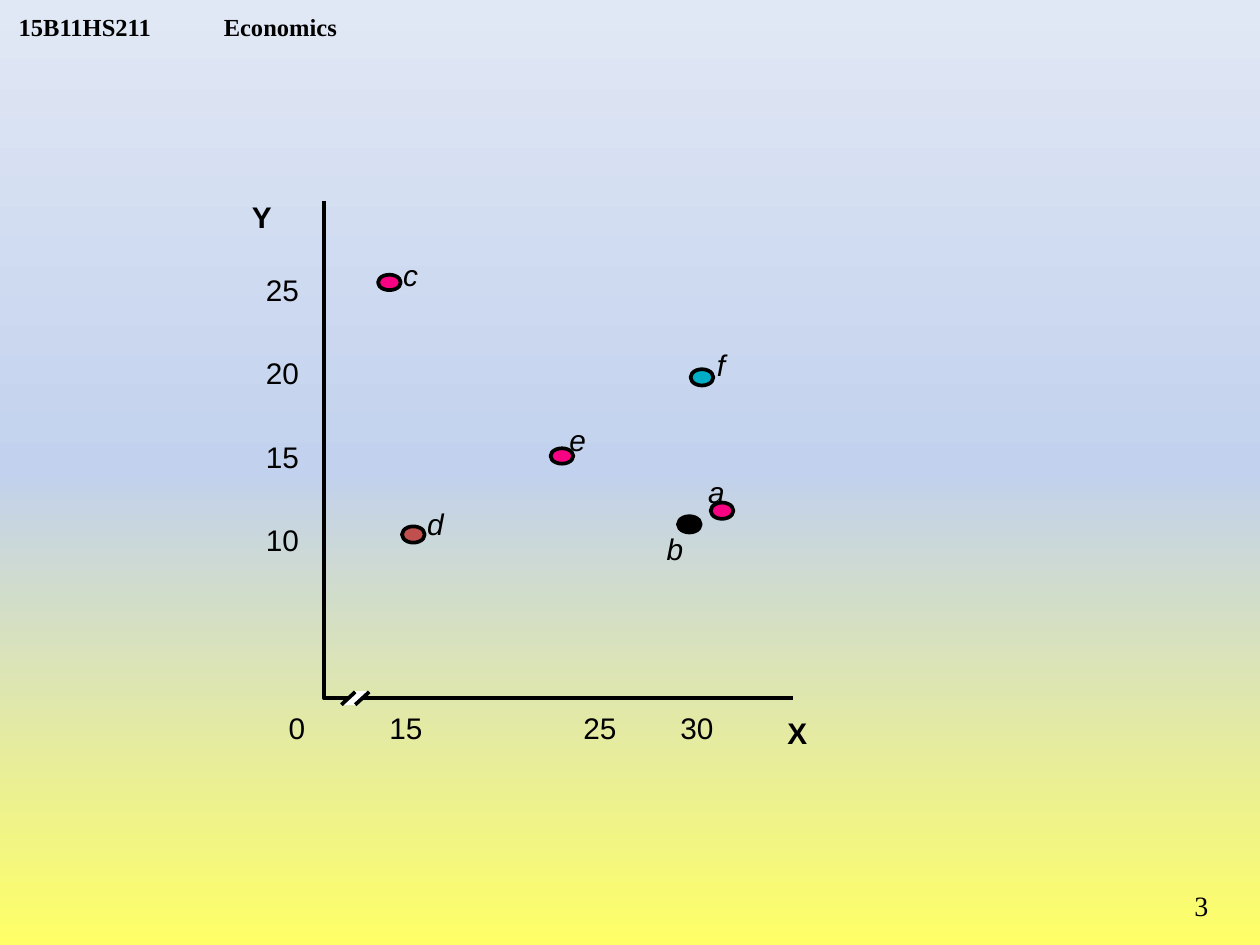
"""Build an economics slide with a scatter diagram of labelled points a to f."""
from copy import deepcopy
from dataclasses import dataclass

from lxml import etree
from pptx import Presentation
from pptx.dml.color import RGBColor
from pptx.enum.shapes import MSO_CONNECTOR, MSO_SHAPE
from pptx.enum.text import MSO_ANCHOR, MSO_AUTO_SIZE, PP_ALIGN
from pptx.oxml.ns import qn
from pptx.slide import Slide
from pptx.text.text import TextFrame
from pptx.util import Pt

STRAIGHT = MSO_CONNECTOR.STRAIGHT
OVAL = MSO_SHAPE.OVAL
BOTTOM = MSO_ANCHOR.BOTTOM
FIT_SHAPE = MSO_AUTO_SIZE.SHAPE_TO_FIT_TEXT
RIGHT = PP_ALIGN.RIGHT


@dataclass(frozen=True)
class Theme:
    ink: RGBColor = RGBColor(0, 0, 0)
    white: RGBColor = RGBColor(255, 255, 255)
    pink: RGBColor = RGBColor.from_string("F60282")
    teal: RGBColor = RGBColor.from_string("01AEC5")
    red: RGBColor = RGBColor.from_string("C0504D")
    background: tuple = ((0, "FFFF66"), (0.5, "C2D1ED"), (1, "E1E8F5"))
    diagram_font: str = "Arial"
    page_font: str = "Times New Roman"
    diagram_size: int = 17
    header_size: int = 14
    number_size: int = 16
    line_width: float = 2.13


@dataclass(frozen=True)
class Label:
    text: str
    left: float
    top: float
    width: float = 12
    height: float = 18
    bold: bool = False
    italic: bool = False


@dataclass(frozen=True)
class Point:
    left: float
    top: float
    color: RGBColor
    height: float = 9.3


THEME = Theme()
ORIGIN_X, ORIGIN_Y = 185, 398.9
AXIS_RIGHT, AXIS_TOP = 453.4, 115.2
BREAK_TOP, BREAK_BOTTOM = 395.4, 402.7
TICK_WIDTH = 23.8

BACK_POINTS = (
    Point(229.7, 300.8, THEME.red),
    Point(387.4, 295, THEME.ink),
    Point(406.1, 287.2, THEME.pink),
    Point(394.6, 211, THEME.teal),
)
FRONT_POINTS = (
    Point(216, 157, THEME.pink, 8.8),
    Point(314.6, 256.2, THEME.pink, 8.8),
)
AXIS_NAMES = (
    Label("Y", 144, 113.8, 11.5, 20.9, bold=True),
    Label("X", 450, 408.2, 11.5, 20.9, bold=True),
)
X_TICKS = (
    Label("0", 164.9, 405.4),
    Label("15", 222.5, 405.4, TICK_WIDTH),
    Label("25", 333.4, 405.4, TICK_WIDTH),
    Label("30", 388.8, 405.4, TICK_WIDTH),
)
Y_TICKS = tuple(
    Label(str(25 - 5 * row), 151.9, 155.5 + 47.5 * row, TICK_WIDTH) for row in range(4)
)
POINT_NAMES = (
    Label("d", 244.1, 288.7, italic=True),
    Label("a", 404.6, 270.7, italic=True),
    Label("b", 380.9, 303.1, italic=True),
    Label("e", 325.4, 241.2, italic=True),
    Label("c", 230.4, 146.9, 10.8, italic=True),
    Label("f", 409.7, 198, 5.8, italic=True),
)


def paint_background(slide: Slide) -> None:
    fill = slide.background.fill
    fill.gradient()
    fill.gradient_angle = 90
    stop_list = slide.element.find(".//" + qn("a:gsLst"))
    stop_list.insert(1, deepcopy(stop_list[0]))
    for stop, (position, color) in zip(fill.gradient_stops, THEME.background):
        stop.position = position
        stop.color.rgb = RGBColor.from_string(color)


def style_line(line) -> None:
    line.color.rgb = THEME.ink
    line.width = Pt(THEME.line_width)


def add_path(slide: Slide, vertices: tuple, close: bool):
    builder = slide.shapes.build_freeform(*vertices[0], scale=Pt(1))
    builder.add_line_segments(vertices[1:], close=close)
    shape = builder.convert_to_shape()
    shape.shadow.inherit = False
    return shape


def add_axes(slide: Slide) -> None:
    vertices = ((AXIS_RIGHT, ORIGIN_Y), (ORIGIN_X, ORIGIN_Y), (ORIGIN_X, AXIS_TOP))
    axes = add_path(slide, vertices, close=False)
    axes.fill.background()
    style_line(axes.line)


def add_axis_break(slide: Slide) -> None:
    strokes = ((203, 195.1), (211, 203))
    (left_top, left_bottom), (right_top, right_bottom) = strokes
    gap = add_path(
        slide,
        (
            (left_bottom, BREAK_BOTTOM),
            (right_bottom, BREAK_BOTTOM),
            (right_top, BREAK_TOP),
            (left_top, BREAK_TOP),
        ),
        close=True,
    )
    gap.fill.solid()
    gap.fill.fore_color.rgb = THEME.white
    gap.line.fill.background()
    for top, bottom in strokes:
        stroke = slide.shapes.add_connector(
            STRAIGHT, Pt(top), Pt(BREAK_TOP), Pt(bottom), Pt(BREAK_BOTTOM)
        )
        style_line(stroke.line)
        etree.SubElement(stroke.element.spPr, qn("a:effectLst"))


def add_point(slide: Slide, point: Point) -> None:
    shape = slide.shapes.add_shape(
        OVAL, Pt(point.left), Pt(point.top), Pt(13), Pt(point.height)
    )
    shape.shadow.inherit = False
    shape.fill.solid()
    shape.fill.fore_color.rgb = point.color
    style_line(shape.line)


def add_text(slide: Slide, label: Label, font_name: str, size: float) -> TextFrame:
    box = slide.shapes.add_textbox(
        Pt(label.left), Pt(label.top), Pt(label.width), Pt(label.height)
    )
    frame = box.text_frame
    frame.word_wrap = True
    paragraph = frame.paragraphs[0]
    paragraph.text = label.text
    font = paragraph.font
    font.name, font.size = font_name, Pt(size)
    font.bold, font.italic = label.bold, label.italic
    font.color.rgb = THEME.ink
    return frame


def add_diagram_label(slide: Slide, label: Label) -> None:
    frame = add_text(slide, label, THEME.diagram_font, THEME.diagram_size)
    frame.margin_left = frame.margin_top = frame.margin_right = frame.margin_bottom = 0
    frame.word_wrap = False
    frame.auto_size = FIT_SHAPE


def add_header(slide: Slide) -> None:
    label = Label("15B11HS211\tEconomics", 3.6, 0, 230.4, 23.8, bold=True)
    frame = add_text(slide, label, THEME.page_font, THEME.header_size)
    frame.margin_top = frame.margin_bottom = 0
    frame.vertical_anchor = BOTTOM
    properties = frame.paragraphs[0]._p.get_or_add_pPr()
    tabs = etree.Element(qn("a:tabLst"))
    etree.SubElement(tabs, qn("a:tab"), pos=str(Pt(117.2)), algn="l")
    properties.insert(0, tabs)


def main() -> None:
    presentation = Presentation()
    presentation.slide_width, presentation.slide_height = Pt(720), Pt(540)
    slide = presentation.slides.add_slide(presentation.slide_layouts[6])
    paint_background(slide)
    add_header(slide)
    add_axes(slide)
    for point in BACK_POINTS:
        add_point(slide, point)
    add_axis_break(slide)
    for label in AXIS_NAMES + X_TICKS + Y_TICKS + POINT_NAMES:
        add_diagram_label(slide, label)
    for point in FRONT_POINTS:
        add_point(slide, point)
    number = Label("3", 642.2, 504, 55.4, 28.8)
    frame = add_text(slide, number, THEME.page_font, THEME.number_size)
    frame.paragraphs[0].alignment = RIGHT
    presentation.save("out.pptx")


if __name__ == "__main__":
    main()
